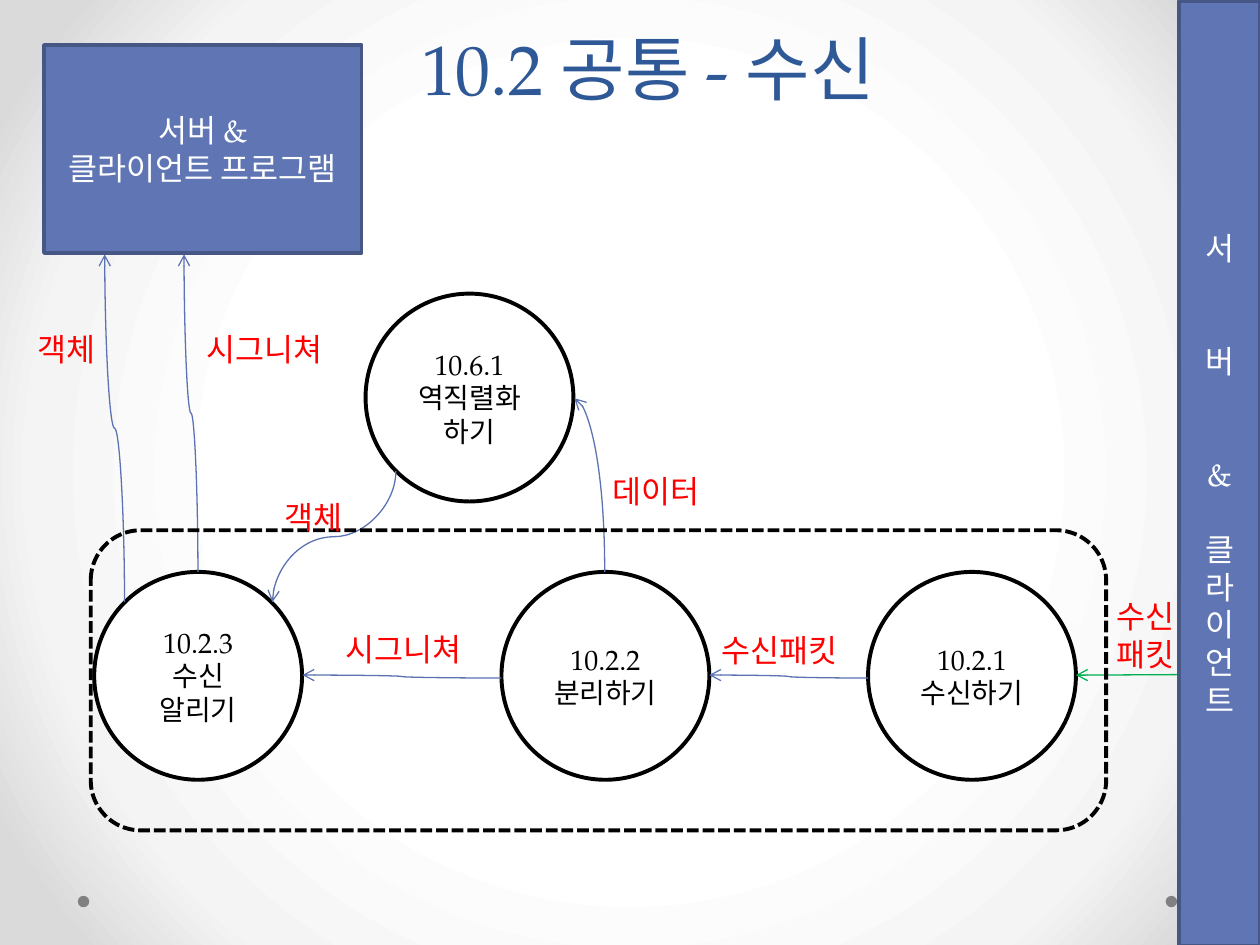
from dataclasses import dataclass

from lxml import etree
from pptx import Presentation
from pptx import util as u
from pptx.dml import color
from pptx.enum import dml, shapes, text
from pptx.oxml import parse_xml
from pptx.oxml import ns


@dataclass(frozen=True)
class Theme:
    font: str = "TeX Gyre Pagella"
    title: str = "2F5897"
    panel: str = "6076B4"
    panel_edge: str = "475785"
    flow: str = "5C72B2"
    incoming: str = "00B050"
    label: str = "FF0000"
    dot: str = "808080"
    black: str = "000000"
    white: str = "FFFFFF"
    backdrop: tuple = ((50, "FFFFFF"), (76, "F4F4F4"), (92, "DADADA"))
    title_size: int = 40
    label_size: int = 18
    step_size: int = 16


theme = Theme()
rgb = color.RGBColor.from_string


def write(frame, lines, size, ink, align=text.PP_ALIGN.CENTER, gaps=None):
    frame.word_wrap = True
    for index, line in enumerate(lines):
        paragraph = frame.paragraphs[0] if index == 0 else frame.add_paragraph()
        paragraph.alignment = align
        if gaps and index in gaps:
            paragraph.space_before = u.Pt(gaps[index])
        run = paragraph.add_run()
        run.text = line
        run.font.name = theme.font
        run.font.size = u.Pt(size)
        run.font.color.rgb = rgb(ink)


def add_outline(kind, box, fill=None, edge=None):
    shape = slide.shapes.add_shape(kind, *map(u.Cm, box))
    shape.shadow.inherit = False
    if fill:
        shape.fill.solid()
        shape.fill.fore_color.rgb = rgb(fill)
    else:
        shape.fill.background()
    if edge:
        shape.line.color.rgb = rgb(edge)
        shape.line.width = u.Pt(2.25)
    else:
        shape.line.fill.background()
    shape.text_frame.vertical_anchor = text.MSO_ANCHOR.MIDDLE
    return shape


prs = Presentation()
prs.slide_width, prs.slide_height = u.Cm(25.4), u.Cm(19.05)
slide = prs.slides.add_slide(prs.slide_layouts[5])

stops = "".join(
    f'<a:gs pos="{pos * 1000}"><a:srgbClr val="{tone}"/></a:gs>' for pos, tone in theme.backdrop
)
backdrop = parse_xml(
    f'<p:bg {ns.nsdecls("p", "a")}><p:bgPr><a:gradFill rotWithShape="1"><a:gsLst>{stops}</a:gsLst>'
    '<a:path path="circle"><a:fillToRect l="50000" t="50000" r="50000" b="50000"/></a:path>'
    "</a:gradFill><a:effectLst/></p:bgPr></p:bg>"
)
slide.element.cSld.insert(0, backdrop)

title = slide.shapes.title
title.left, title.top, title.width, title.height = map(u.Cm, (1.63, 0, 22.86, 2.34))
title.text_frame.vertical_anchor = text.MSO_ANCHOR.BOTTOM
title.text_frame.auto_size = text.MSO_AUTO_SIZE.NONE
write(title.text_frame, ["10.2 공통 - 수신"], theme.title_size, theme.title)
title.text_frame.paragraphs[0].line_spacing = u.Pt(58)

for dot_left in (23.5, 1.57):
    add_outline(shapes.MSO_SHAPE.OVAL, (dot_left, 18.06, 0.23, 0.23), theme.dot)

steps = [
    (1.9, 11.53, ["10.2.3", "수신", "알리기"]),
    (10.11, 11.53, ["10.2.2", "분리하기"]),
    (17.5, 11.53, ["10.2.1", "수신하기"]),
    (7.37, 5.92, ["10.6.1", "역직렬화", "하기"]),
]
for left, top, lines in steps:
    step = add_outline(shapes.MSO_SHAPE.OVAL, (left, top, 4.19, 4.19), theme.white, theme.black)
    frame = step.text_frame
    frame.margin_left = frame.margin_right = frame.margin_top = frame.margin_bottom = u.Cm(0.1)
    write(frame, lines, theme.step_size, theme.black)

flows = [
    ("line", 0, theme.incoming, (25.4, 13.59), (21.69, 13.61)),
    ("curvedConnector3", 0, theme.flow, (17.5, 13.67), (14.3, 13.61)),
    ("curvedConnector3", 0, theme.flow, (10.11, 13.67), (6.1, 13.61)),
    ("curvedConnector2", 270, theme.flow, (12.19, 11.53), (11.58, 8.03)),
    ("curvedConnector3", 90, theme.flow, (7.98, 9.5), (5.49, 12.14)),
    ("curvedConnector3", 270, theme.flow, (2.51, 12.14), (2.11, 5.13)),
    ("curvedConnector3", 270, theme.flow, (3.99, 11.53), (3.71, 5.13)),
]
for geometry, turn, ink, (x1, y1), (x2, y2) in flows:
    if turn:
        center_x, center_y = (x1 + x2) / 2, (y1 + y2) / 2
        half_run, half_rise = abs(y2 - y1) / 2, (y2 - y1) / 2 * abs((x2 - x1) / (y2 - y1))
        x1, x2 = center_x - half_run, center_x + half_run
        y1, y2 = center_y - half_rise, center_y + half_rise
    flow = slide.shapes.add_connector(shapes.MSO_CONNECTOR.CURVE, *map(u.Cm, (x1, y1, x2, y2)))
    flow.line.color.rgb = rgb(ink)
    flow.line.width = u.Pt(0.75)
    properties = flow.element.spPr
    properties.find(ns.qn("a:prstGeom")).set("prst", geometry)
    if turn:
        properties.find(ns.qn("a:xfrm")).set("rot", str(turn * 60000))
    etree.SubElement(properties.find(ns.qn("a:ln")), ns.qn("a:tailEnd"), type="arrow")
    etree.SubElement(properties, ns.qn("a:effectLst"))

program = add_outline(
    shapes.MSO_SHAPE.RECTANGLE, (0.89, 0.91, 6.4, 4.19), theme.panel, theme.panel_edge
)
write(program.text_frame, ["서버 &", "클라이언트 프로그램"], theme.label_size, theme.white)

scope = add_outline(
    shapes.MSO_SHAPE.ROUNDED_RECTANGLE, (1.83, 10.69, 20.47, 6.05), edge=theme.black
)
scope.line.dash_style = dml.MSO_LINE.SQUARE_DOT

peer = add_outline(
    shapes.MSO_SHAPE.RECTANGLE, (23.77, 0.03, 1.63, 19.05), theme.panel, theme.panel_edge
)
write(peer.text_frame, "서버&클라이언트", theme.label_size, theme.white, gaps={1: 43, 2: 43, 3: 21})

labels = [
    (14.3, 12.6, 3.81, ["수신패킷"]),
    (12.09, 9.4, 2.69, ["데이터"]),
    (6.71, 12.57, 3.3, ["시그니쳐"]),
    (5.49, 9.91, 1.96, ["객체"]),
    (0.51, 6.53, 1.96, ["객체"]),
    (3.91, 6.53, 3.3, ["시그니쳐"]),
    (22.25, 11.91, 3, ["수신", "패킷"]),
]
for left, top, width, lines in labels:
    height = 0.23 + 0.79 * len(lines)
    label = slide.shapes.add_textbox(*map(u.Cm, (left, top, width, height)))
    label.text_frame.auto_size = text.MSO_AUTO_SIZE.SHAPE_TO_FIT_TEXT
    write(label.text_frame, lines, theme.label_size, theme.label, text.PP_ALIGN.LEFT)

prs.save("out.pptx")
